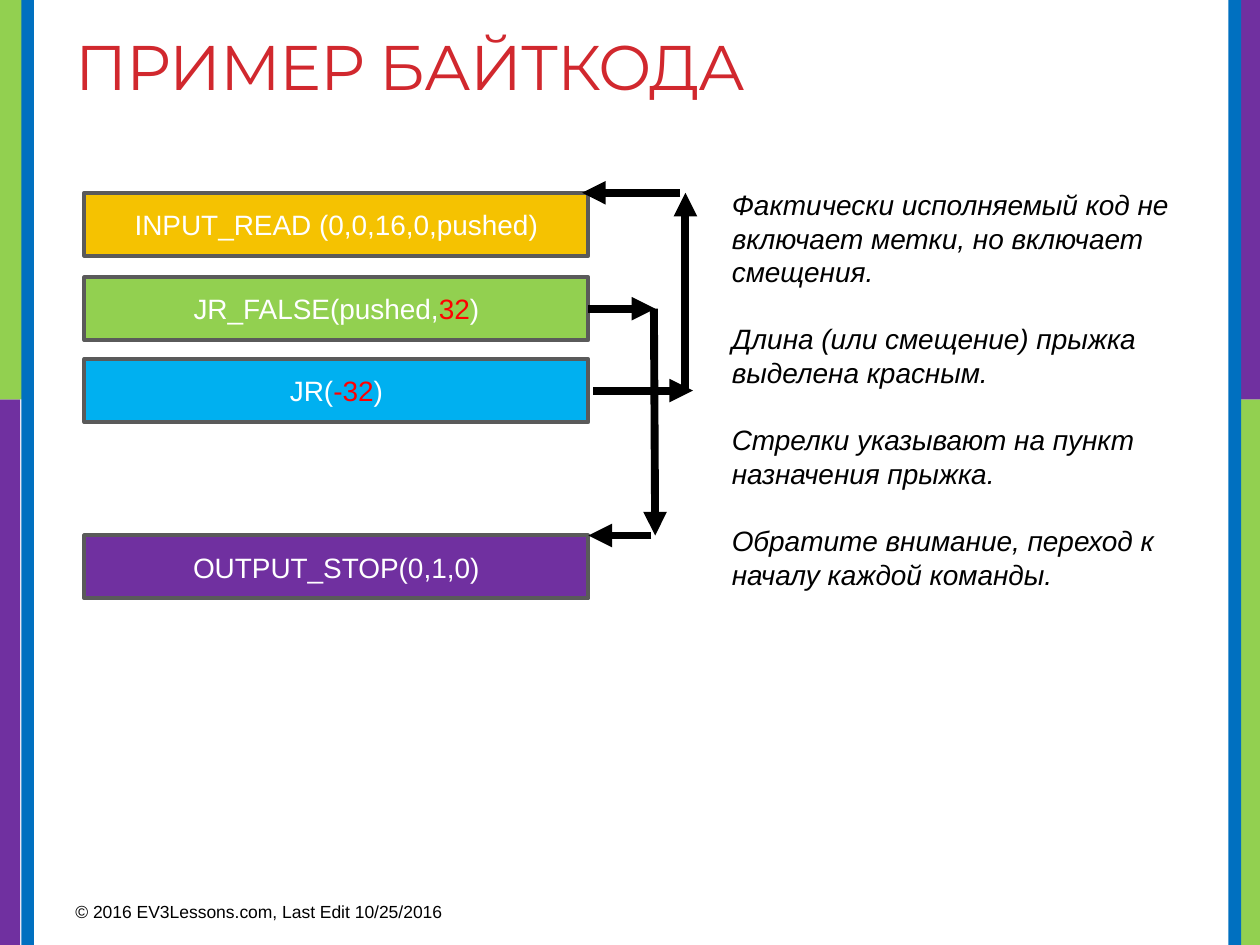
from lxml import etree
from pptx import Presentation, util as u
from pptx.dml.color import RGBColor
from pptx.enum import shapes, text
from pptx.oxml.ns import qn

WIDE, HIGH = 10, 7.5
LEFT, SPAN, TALL = 0.67, 4, 0.5
EDGE = LEFT + SPAN
ROWS = [1.53, 2.2, 2.85, 4.25]
GREEN, PURPLE, BLUE, RED = "92D050", "7030A0", "0070C0", "FF0000"

CODE = [
    ("F5C201", ["INPUT_READ (0,0,16,0,pushed)"]),
    (GREEN, ["JR_FALSE(pushed,", ("32", RED), ")"]),
    ("00B0F0", ["JR(", ("-32", RED), ")"]),
    (PURPLE, ["OUTPUT_STOP(0,1,0)"]),
]
NOTES = [
    "Фактически исполняемый код не включает метки, но включает смещения.",
    "Длина (или смещение) прыжка выделена красным.",
    "Стрелки указывают на пункт назначения прыжка.",
    "Обратите внимание, переход к началу каждой команды.",
]


def hue(code):
    return RGBColor.from_string(code)


def write(frame, paras, size=16, font="Arial", color="000000", italic=False,
          align=text.PP_ALIGN.LEFT, anchor=text.MSO_ANCHOR.TOP,
          track=None, pitch=None, gap=0):
    frame.word_wrap = True
    frame.vertical_anchor = anchor
    for i, parts in enumerate(paras):
        para = frame.add_paragraph() if i else frame.paragraphs[0]
        para.alignment = align
        if pitch:
            para.line_spacing = u.Pt(pitch)
        if i and gap:
            para.space_before = u.Pt(gap)
        for part in parts:
            words, tint = part if isinstance(part, tuple) else (part, color)
            run = para.add_run()
            run.text = words
            run.font.size = u.Pt(size)
            run.font.name = font
            run.font.italic = italic
            run.font.color.rgb = hue(tint)
            if track:
                run.font._element.set("spc", str(int(track * 100)))


def label(slide, box, paras, **form):
    area = slide.shapes.add_textbox(*map(u.Inches, box))
    write(area.text_frame, paras, **form)


def block(slide, box, fill, line=None):
    rect = slide.shapes.add_shape(shapes.MSO_SHAPE.RECTANGLE, *map(u.Inches, box))
    rect.shadow.inherit = False
    rect.fill.solid()
    rect.fill.fore_color.rgb = hue(fill)
    if line:
        rect.line.color.rgb = hue(line)
        rect.line.width = u.Pt(2.25)
    else:
        rect.line.fill.background()
    return rect


def arrow(slide, start, end):
    link = slide.shapes.add_connector(
        shapes.MSO_CONNECTOR.STRAIGHT, *map(u.Inches, start + end))
    link.line.color.rgb = hue("000000")
    link.line.width = u.Pt(4.5)
    etree.SubElement(link.line._get_or_add_ln(), qn("a:tailEnd"), type="triangle")
    etree.SubElement(link._element.spPr, qn("a:effectLst"))


def frame_sides(slide):
    split = 3.17
    for top, low, thin, wide, band in [
        (PURPLE, GREEN, WIDE - 0.16, WIDE - 0.2, WIDE - 0.25),
        (GREEN, PURPLE, 0, 0, 0.17),
    ]:
        block(slide, (thin, split, 0.16, HIGH - split), low)
        block(slide, (wide, 0, 0.2, split), top)
        block(slide, (band, 0, 0.1, HIGH), BLUE)


def draw_code(slide):
    for top, (fill, parts) in zip(ROWS, CODE):
        rect = block(slide, (LEFT, top, SPAN, TALL), fill, "5A5A5A")
        write(rect.text_frame, [parts], color="FFFFFF",
              align=text.PP_ALIGN.CENTER, anchor=text.MSO_ANCHOR.MIDDLE)


def draw_jumps(slide):
    first, test, back, stop = ROWS
    test, back = test + TALL / 2, back + TALL / 2
    for start, end in [
        ((EDGE, test), (5.2, test)),
        ((5.19, test), (5.2, stop)),
        ((5.17, stop), (EDGE, stop)),
        ((4.71, back), (5.5, back)),
        ((5.44, back), (5.44, first)),
        ((5.4, first), (4.62, first)),
    ]:
        arrow(slide, start, end)


def main():
    deck = Presentation()
    deck.slide_width, deck.slide_height = u.Inches(WIDE), u.Inches(HIGH)
    slide = deck.slides.add_slide(deck.slide_layouts[6])
    frame_sides(slide)
    label(slide, (0.5, 0.17, 9.02, 1.5), [["ПРИМЕР БАЙТКОДА"]],
          size=36, font="Montserrat", color="D1282E", track=-0.6)
    label(slide, (0.5, 7.1, 3.75, 0.31),
          [["© 2016 EV3Lessons.com, Last Edit 10/25/2016"]], size=10)
    draw_code(slide)
    draw_jumps(slide)
    label(slide, (5.71, 1.44, 3.85, 3.33), [[note] for note in NOTES],
          italic=True, pitch=19.2, gap=19.2)
    deck.save("out.pptx")


if __name__ == "__main__":
    main()
